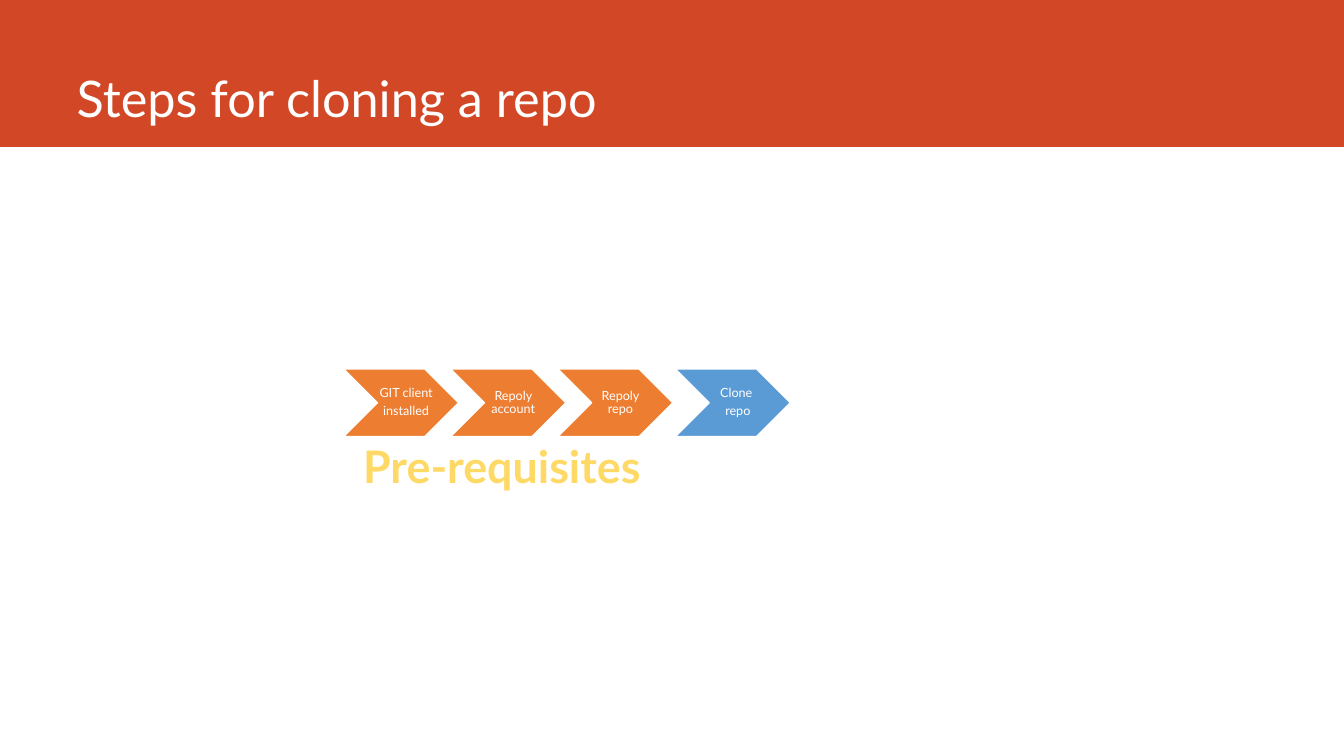
"""Build a slide with a process row for cloning a repo."""
from pptx import Presentation
from pptx.dml.color import RGBColor
from pptx.enum.shapes import MSO_SHAPE
from pptx.enum.text import MSO_ANCHOR, PP_ALIGN
from pptx.util import Cm, Pt

RECTANGLE, CHEVRON = MSO_SHAPE.RECTANGLE, MSO_SHAPE.CHEVRON
MIDDLE, BOTTOM = MSO_ANCHOR.MIDDLE, MSO_ANCHOR.BOTTOM
LEFT, CENTER = PP_ALIGN.LEFT, PP_ALIGN.CENTER
WHITE, RED, ORANGE, BLUE, YELLOW = "FFFFFF", "D24726", "ED7D31", "5B9BD5", "FFD966"


def color(value):
    return RGBColor.from_string(value)


def write(paragraph, text, size, text_color, alignment, bold=False):
    paragraph.alignment = alignment
    run = paragraph.add_run()
    run.text = text
    run.font.name = "Lato"
    run.font.size = Pt(size)
    run.font.bold = bold
    run.font.color.rgb = color(text_color)


presentation = Presentation()
presentation.slide_width, presentation.slide_height = Cm(33.87), Cm(19.05)
slide = presentation.slides.add_slide(presentation.slide_layouts[5])

band = slide.shapes.add_shape(RECTANGLE, 0, 0, presentation.slide_width, Cm(3.7))
band.shadow.inherit = False
band.fill.solid()
band.fill.fore_color.rgb = color(RED)
band.line.fill.background()
slide.shapes._spTree.insert(2, band._element)

title = slide.shapes.title
title.left, title.top, title.width, title.height = Cm(1.68), 0, Cm(29.87), Cm(3.35)
title.text_frame.vertical_anchor = BOTTOM
write(title.text_frame.paragraphs[0], "Steps for cloning a repo", 36, WHITE, LEFT)

steps = [
    (8.66, ORANGE, ["GIT client", "installed"]),
    (11.36, ORANGE, ["Repoly account"]),
    (14.06, ORANGE, ["Repoly repo"]),
    (17.02, BLUE, ["Clone ", "repo"]),
]
step_top, step_height = Cm(9.3), Cm(1.7)
for left, fill, lines in steps:
    group = slide.shapes.add_group_shape()
    chevron = group.shapes.add_shape(CHEVRON, Cm(left), step_top, Cm(2.9), step_height)
    chevron.shadow.inherit = False
    chevron.fill.solid()
    chevron.fill.fore_color.rgb = color(fill)
    chevron.line.color.rgb = color(WHITE)
    chevron.line.width = Pt(1)

    label = group.shapes.add_textbox(Cm(left + 0.08), step_top, Cm(2.51), step_height)
    frame = label.text_frame
    frame.word_wrap = True
    frame.vertical_anchor = MIDDLE
    frame.margin_left = Cm(0.71)
    frame.margin_top = frame.margin_right = frame.margin_bottom = Cm(0.23)
    for index, line in enumerate(lines):
        paragraph = frame.add_paragraph() if index else frame.paragraphs[0]
        paragraph.line_spacing = 0.9
        paragraph.space_after = Pt(3.15)
        write(paragraph, line, 9, WHITE, CENTER)

caption = slide.shapes.add_textbox(Cm(8.69), Cm(10.92), Cm(7.92), Cm(1.63))
caption.text_frame.word_wrap = False
write(caption.text_frame.paragraphs[0], "Pre-requisites", 32, YELLOW, CENTER, bold=True)

presentation.save("out.pptx")
